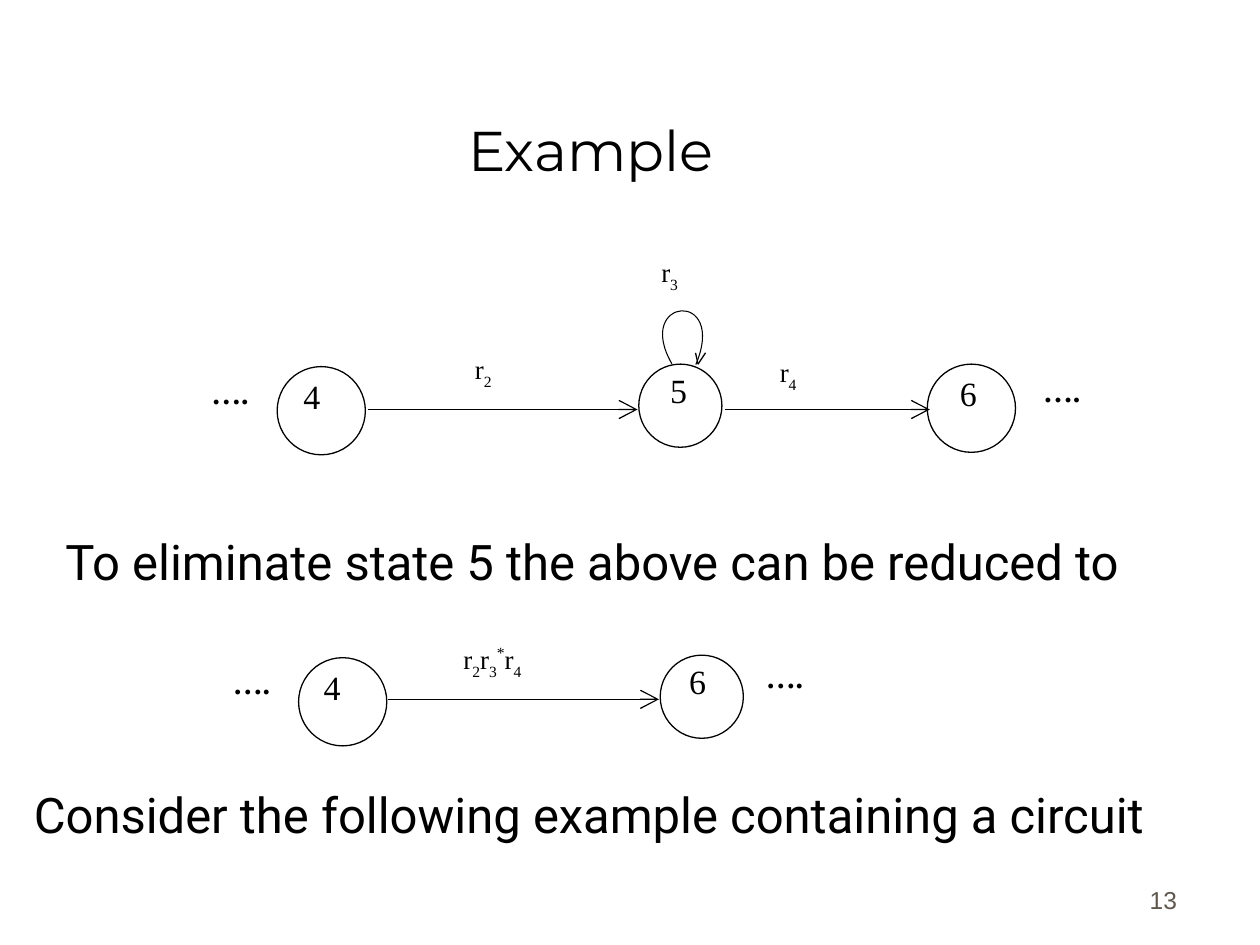
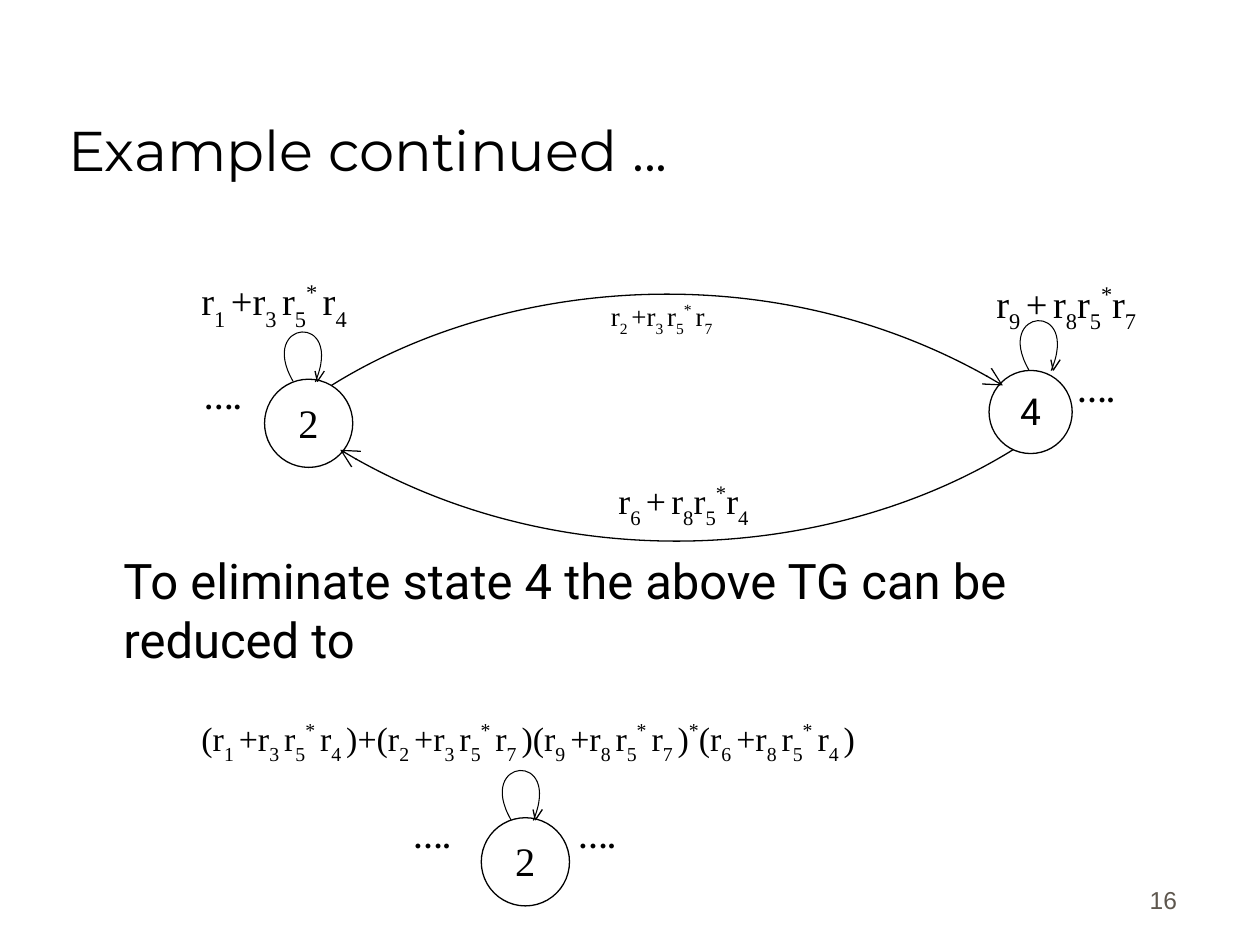
from lxml.etree import SubElement
from pptx import Presentation
from pptx.dml.color import RGBColor
from pptx.enum.shapes import MSO_CONNECTOR, MSO_SHAPE
from pptx.enum.text import MSO_ANCHOR as Anchor, MSO_AUTO_SIZE, PP_ALIGN as Align
from pptx.oxml.ns import qn
from pptx.util import Inches, Pt

COLOURS = {"ink": "000000", "paper": "FFFFFF", "number": "5E574E"}
TITLE_FONT, BODY_FONT, MATH_FONT, NUMBER_FONT = "Montserrat", "Roboto", "Times New Roman", "Arial"
BIG, SMALL = 0.7, 0.66          # state diameters
BASELINES = {"_": "-30000", "^": "40000"}

# Content. States: left, top, diameter, then number, size and font if centred inside.
# Loops: centre and scale. Arrows: start, end, height. Arcs: four control points.
# Labels: text, size, left, top, width, line spacing; "_" lowers and "^" raises a character.
SLIDES = [
    {
        "title": "Example", "align": Align.CENTER, "number": "13",
        "states": [(5.07, 2.89, SMALL), (2.2, 2.91, BIG), (7.36, 2.89, BIG),
                   (5.24, 5.2, SMALL), (2.37, 5.22, BIG)],
        "arrows": [(2.92, 5.06, 3.25), (5.75, 7.38, 3.25), (3.08, 5.23, 5.55)],
        "arcs": [],
        "loops": [(5.38, 2.58, 1)],
        "labels": [
            ("4", 19.4, 2.31, 2.99, 1.02, 0.8),
            ("5", 19.4, 5.22, 2.95, 1.02, 0.8),
            ("6", 19.4, 7.52, 2.97, 1.02, 0.8),
            ("4", 19.4, 2.47, 5.3, 1.02, 0.8),
            ("6", 19.4, 5.37, 5.26, 1.02, 0.8),
            ("r_2", 15.4, 3.67, 2.77, 0.91, 0.8),
            ("r_3", 15.4, 5.15, 2, 0.91, 0.8),
            ("r_4", 15.4, 6.09, 2.79, 0.91, 0.8),
            ("r_2r_3^*r_4", 15.4, 3.58, 5.07, 1.58, 0.8),
        ],
        "dots": [(1.58, 2.98), (8.18, 2.96), (1.75, 5.28), (5.98, 5.23)],
        "statements": [
            ("To eliminate state 5 the above can be reduced to", 0.42, 4.17, 9.25),
            ("Consider the following example containing a circuit", 0.17, 6.18, 9.67),
        ],
    },
    {
        "title": "Example continued ...", "align": Align.LEFT, "number": "16",
        "body": "To eliminate state 4 the above TG can be reduced to",
        "states": [(3.82, 6.49, BIG, "2", 23.1, MATH_FONT),
                   (7.85, 2.94, SMALL, "4", 21.2, BODY_FONT),
                   (2.1, 3.01, BIG, "2", 23.1, MATH_FONT)],
        "arrows": [],
        "arcs": [[(8.04, 3.57), (6.67, 4.42), (4.46, 4.63), (2.7, 3.57)],
                 [(2.63, 3.06), (3.99, 2.21), (6.2, 2), (7.96, 3.06)]],
        "loops": [(4.1, 6.22, 0.93), (2.37, 2.74, 0.93), (8.21, 2.65, 0.93)],
        "labels": [
            ("r_2 +r_3 r_5^* r_7", 15.4, 4.75, 2.35, 2.33, 0.8),
            ("r_6 +_ r_8r_5^*r_4", 20.4, 4.81, 3.75, 1.99, 0.9),
            ("(r_1 +r_3 r_5^* r_4 )+(r_2 +r_3 r_5^* r_7 )(r_9 +r_8 r_5^* r_7 )^*(r_6 +r_8 r_5^* r_4 )",
             19.4, 1.5, 5.67, 7.75, 0.8),
            ("r_1 +r_3 r_5^* r_4", 22, 1.5, 2.15, 2.29, None),
            ("r_9 +_ r_8r_5^*r_7", 22, 7.81, 2.17, 1.65, None),
        ],
        "dots": [(1.52, 3.02), (8.45, 2.96), (3.18, 6.5), (4.49, 6.5)],
        "statements": [],
    },
]

# Control points of a loop and the two strokes of its arrowhead, measured from its centre
LOOP = [(-0.02, 0.31), (-0.37, -0.19), (0.37, -0.32), (0.17, 0.3)]
LOOP_TILT = 5
LOOP_HEAD = [[(0.16, 0.31), (0.22, 0.22)], [(0.14, 0.22), (0.16, 0.31)]]


def colour(name):
    return RGBColor.from_string(COLOURS[name])


def split_script(text):
    """Yield (piece, baseline); a marked character takes the space after it along."""
    plain, at = "", 0
    while at < len(text):
        if text[at] not in BASELINES:
            plain += text[at]
            at += 1
            continue
        if plain:
            yield plain, None
        plain, end = "", at + 2
        if text[end:end + 1] == " ":
            end += 1
        yield text[at + 1:end], BASELINES[text[at]]
        at = end
    if plain:
        yield plain, None


def write(paragraph, text, size, font, ink="ink", bold=False):
    for piece, baseline in split_script(text):
        run = paragraph.add_run()
        run.text = piece
        run.font.size, run.font.name, run.font.bold = Pt(size), font, bold
        run.font.color.rgb = colour(ink)
        if baseline:
            run.font._element.set("baseline", baseline)


def set_frame(frame, anchor, inset=(0.1, 0.05)):
    frame.word_wrap, frame.auto_size = True, MSO_AUTO_SIZE.NONE
    frame.vertical_anchor = anchor
    frame.margin_left = frame.margin_right = Inches(inset[0])
    frame.margin_top = frame.margin_bottom = Inches(inset[1])
    return frame.paragraphs[0]


def place(part, left, top, width, height):
    part.left, part.top, part.width, part.height = map(Inches, (left, top, width, height))


def add_text(slide, text, size, left, top, width, height=0.42, font=MATH_FONT,
             spacing=None, anchor=Anchor.TOP, align=Align.LEFT, **look):
    box = slide.shapes.add_textbox(*map(Inches, (left, top, width, height)))
    paragraph = set_frame(box.text_frame, anchor)
    paragraph.alignment, paragraph.line_spacing = align, spacing
    write(paragraph, text, size, font, **look)


def draw_line(part, weight=0.75, head=False):
    part.line.color.rgb, part.line.width = colour("ink"), Pt(weight)
    if head:
        SubElement(part._element.spPr.find(qn("a:ln")), qn("a:tailEnd"),
                   type="arrow", w="lg", len="lg")


def add_state(slide, left, top, diameter, number="", size=0, font=MATH_FONT):
    state = slide.shapes.add_shape(MSO_SHAPE.OVAL, *map(Inches, (left, top, diameter, diameter)))
    state.shadow.inherit = False
    state.fill.solid()
    state.fill.fore_color.rgb = colour("paper")
    draw_line(state)
    if number:
        paragraph = set_frame(state.text_frame, Anchor.MIDDLE, (0, 0))
        state.text_frame.margin_bottom = Inches(0.02)
        paragraph.alignment = Align.CENTER
        write(paragraph, number, size, font)


def add_arrow(slide, start, end, height):
    arrow = slide.shapes.add_connector(
        MSO_CONNECTOR.STRAIGHT, *map(Inches, (start, height, end, height)))
    draw_line(arrow, head=True)
    SubElement(arrow._element.spPr, qn("a:effectLst"))


def add_stroke(slide, points, weight=0.75, head=False):
    first, *rest = [(Inches(x), Inches(y)) for x, y in points]
    builder = slide.shapes.build_freeform(*first)
    builder.add_line_segments(rest, close=False)
    stroke = builder.convert_to_shape()
    stroke.shadow.inherit = False
    stroke.fill.background()
    draw_line(stroke, weight, head)
    return stroke


def add_curve(slide, corners, weight=0.75, head=False):
    """Turn a stroke through four control points into one cubic curve."""
    stroke = add_stroke(slide, corners, weight, head)
    outline = next(stroke._element.iter(qn("a:path")))
    segments = outline.findall(qn("a:lnTo"))
    bend = SubElement(outline, qn("a:cubicBezTo"))
    for segment in segments:
        bend.append(segment.find(qn("a:pt")))
        outline.remove(segment)
    return stroke


def add_loop(slide, centre_x, centre_y, scale):
    def around_centre(points):
        return [(centre_x + scale * x, centre_y + scale * y) for x, y in points]

    add_curve(slide, around_centre(LOOP), 0.6).rotation = LOOP_TILT
    for side in LOOP_HEAD:
        add_stroke(slide, around_centre(side))


def add_slide(deck, content):
    body_text = content.get("body")
    slide = deck.slides.add_slide(deck.slide_layouts[1 if body_text else 5])

    # Title, body and slide number
    title = slide.shapes.title
    place(title, 0.44, 0.25, 8.5, 1.25)
    heading = set_frame(title.text_frame, Anchor.BOTTOM)
    heading.alignment = content["align"]
    write(heading, content["title"], 32, TITLE_FONT)
    if body_text:
        body = slide.placeholders[1]
        place(body, 0.5, 4.32, 8.94, 2.3)
        paragraph = set_frame(body.text_frame, Anchor.TOP)
        properties = paragraph._p.get_or_add_pPr()
        properties.set("marL", str(Inches(0.38)))
        properties.set("indent", "0")
        SubElement(properties, qn("a:buNone"))
        paragraph.space_before = Pt(0)
        write(paragraph, body_text, 28, BODY_FONT)
    add_text(slide, content["number"], 14, 7.36, 6.81, 2.08, 0.5, NUMBER_FONT,
             anchor=Anchor.BOTTOM, align=Align.RIGHT, ink="number")

    # Transition graph
    for state in content["states"]:
        add_state(slide, *state)
    for arrow in content["arrows"]:
        add_arrow(slide, *arrow)
    for arc in content["arcs"]:
        add_curve(slide, arc, head=True)
    for loop in content["loops"]:
        add_loop(slide, *loop)

    # Lettering
    for text, size, left, top, width, spacing in content["labels"]:
        add_text(slide, text, size, left, top, width, spacing=spacing)
    for left, top in content["dots"]:
        add_text(slide, "….", 17.1, left, top, 0.76, spacing=0.8, bold=True)
    for text, left, top, width in content["statements"]:
        add_text(slide, text, 28, left, top, width, 0.57, BODY_FONT)


def main():
    deck = Presentation()
    deck.slide_width, deck.slide_height = Inches(10), Inches(7.5)
    for content in SLIDES:
        add_slide(deck, content)
    deck.save("out.pptx")


if __name__ == "__main__":
    main()
